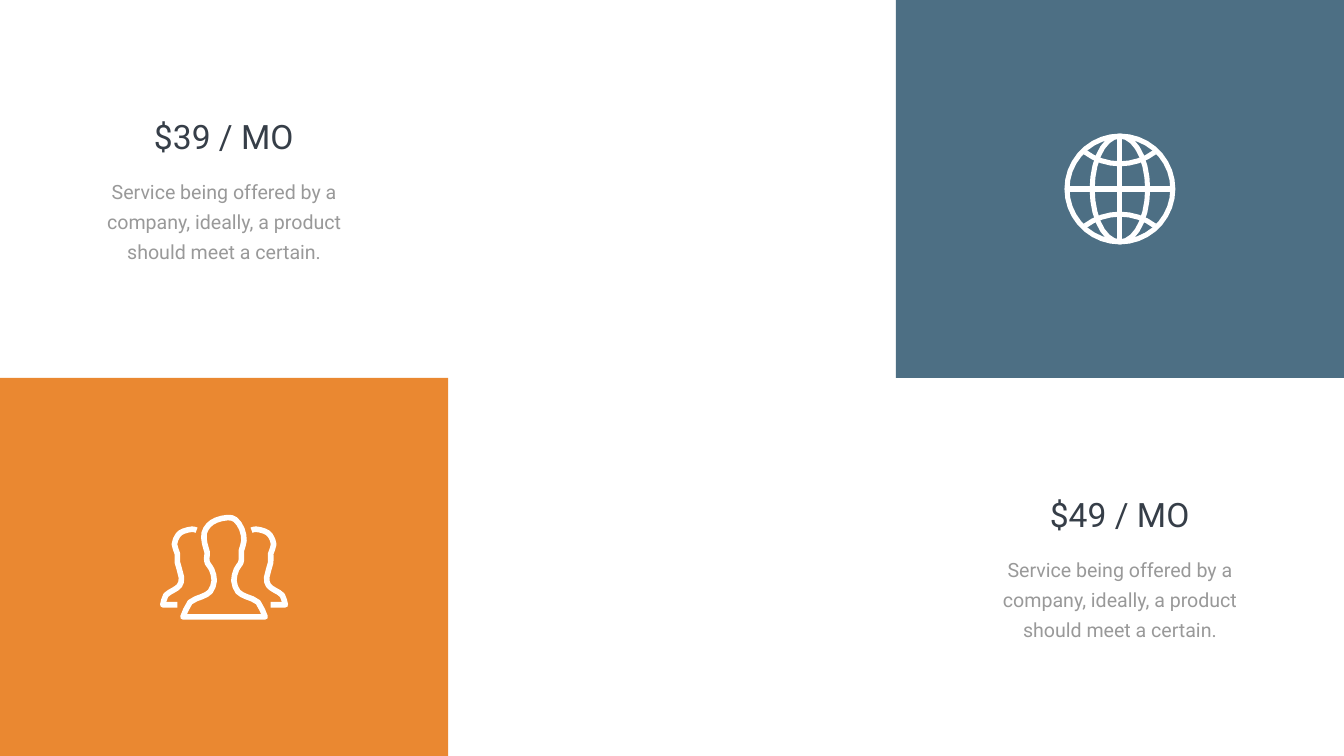
import math

from pptx import Presentation
from pptx.dml.color import RGBColor
from pptx.enum import shapes, text
from pptx.util import Inches, Pt

ORANGE = RGBColor(0xEA, 0x88, 0x31)
BLUE = RGBColor(0x4D, 0x6F, 0x84)
DARK = RGBColor(0x36, 0x3E, 0x48)
GREY = RGBColor(0x99, 0x99, 0x99)
WHITE = RGBColor(0xFF, 0xFF, 0xFF)

SLIDE_W, SLIDE_H = 26.66, 15
TILE_W, TILE_H = 8.89, 7.5
RIGHT = SLIDE_W - TILE_W
DETAIL = "Service being offered by a company, ideally, a product should meet a certain."


def write(tf, words, size=28, color=GREY, font="Roboto", spacing=None):
    p = tf.paragraphs[0]
    p.alignment = text.PP_ALIGN.CENTER
    if spacing:
        p.line_spacing = Pt(spacing)
    r = p.add_run()
    r.text = words
    r.font.name, r.font.size = font, Pt(size)
    r.font.color.rgb = color


def arc(cx, cy, rx, ry, start=0, end=360, steps=36):
    """Points along an ellipse, angles in degrees."""
    angles = [math.radians(start + (end - start) * i / steps) for i in range(steps + 1)]
    return [(cx + rx * math.cos(a), cy + ry * math.sin(a)) for a in angles]


def smooth(points, steps=2):
    """Catmull-Rom curve through the points."""
    padded = [points[0], *points, points[-1]]
    curve = []
    for a, b, c, d in zip(padded, padded[1:], padded[2:], padded[3:]):
        for i in range(steps):
            t = i / steps
            curve.append(tuple(
                0.5 * (2 * q + (r - p) * t + (2 * p - 5 * q + 4 * r - s) * t ** 2
                       + (3 * q - p - 3 * r + s) * t ** 3)
                for p, q, r, s in zip(a, b, c, d)))
    return curve + [points[-1]]


def mirror(points, axis):
    return [(2 * axis - x, y) for x, y in points]


class Deck:
    font = "Roboto"

    def __init__(self):
        self.prs = Presentation()
        self.prs.slide_width, self.prs.slide_height = Inches(SLIDE_W), Inches(SLIDE_H)
        self.s = self.prs.slides.add_slide(self.prs.slide_layouts[6])

    def tile(self, x, y, color):
        sp = self.s.shapes.add_shape(shapes.MSO_SHAPE.RECTANGLE, Inches(x), Inches(y),
                                     Inches(TILE_W), Inches(TILE_H))
        sp.shadow.inherit = False
        sp.fill.solid()
        sp.fill.fore_color.rgb = color
        sp.line.fill.background()

    def label(self, x, y, w, h, words, **style):
        tf = self.s.shapes.add_textbox(Inches(x), Inches(y), Inches(w), Inches(h)).text_frame
        tf.word_wrap = True
        write(tf, words, font=self.font, **style)

    def plan(self, x, y, price):
        """Price and description centred in the tile at x, y."""
        self.label(x + 2.09, y + 2.25, 4.7, 0.91, price, size=48, color=DARK)
        self.label(x + 1.93, y + 3.39, 5.03, 1.86, DETAIL, spacing=43)

    def icon(self, strokes, width):
        """One outline drawn from (points, closed) strokes."""
        builder = None
        for points, closed in strokes:
            first, *rest = [(Inches(x), Inches(y)) for x, y in points]
            if builder is None:
                builder = self.s.shapes.build_freeform(*first)
            else:
                builder.move_to(*first)
            builder.add_line_segments(rest, close=closed)
        sp = builder.convert_to_shape()
        sp.shadow.inherit = False
        sp.fill.background()
        sp.line.color.rgb = WHITE
        sp.line.width = Pt(width)


def globe_strokes(cx, cy, r=1.05):
    return [
        (arc(cx, cy, r, r), True),
        (arc(cx, cy, 0.55, r, steps=28), True),
        ([(cx - r, cy), (cx + r, cy)], False),
        ([(cx, cy - r), (cx, cy + r)], False),
        (arc(cx, cy - 1.65, 1.15, 1.15, 53, 127, steps=8), False),
        (arc(cx, cy + 1.65, 1.15, 1.15, 233, 307, steps=8), False),
    ]


def people_strokes(axis):
    # Front figure: mirrored shoulders, separate head
    shoulder = [(3.63, 12.24), (3.77, 11.95), (4, 11.84), (4.17, 11.74),
                (4.25, 11.52), (4.2, 11.3), (4.12, 11.18)]
    head = [(4.1, 11.08), (4.11, 10.96), (4.06, 10.78), (4.05, 10.58), (4.14, 10.42),
            (4.29, 10.32), (4.51, 10.27), (4.67, 10.31), (4.8, 10.5), (4.84, 10.73),
            (4.79, 10.92), (4.79, 11.08)]
    front = smooth(shoulder + head + mirror(shoulder, axis)[::-1])
    # Back figures: one side and its mirror
    back = smooth([(4.99, 10.52), (5.08, 10.5), (5.25, 10.54), (5.36, 10.62), (5.43, 10.8),
                   (5.37, 10.99), (5.37, 11.16), (5.29, 11.46), (5.33, 11.62),
                   (5.45, 11.71), (5.6, 11.81), (5.66, 12)])
    back.append((5.37, 12))
    return [(front, True), (back, False), (mirror(back, axis), False)]


def main():
    deck = Deck()
    # Coloured tiles
    deck.tile(0, TILE_H, ORANGE)
    deck.tile(RIGHT, 0, BLUE)
    # Plans and icons
    deck.plan(0, 0, "$39 / MO")
    deck.icon(people_strokes(TILE_W / 2), 8)
    deck.plan(RIGHT, TILE_H, "$49 / MO")
    deck.icon(globe_strokes(RIGHT + TILE_W / 2, TILE_H / 2), 7.2)
    deck.prs.save("out.pptx")


if __name__ == "__main__":
    main()
